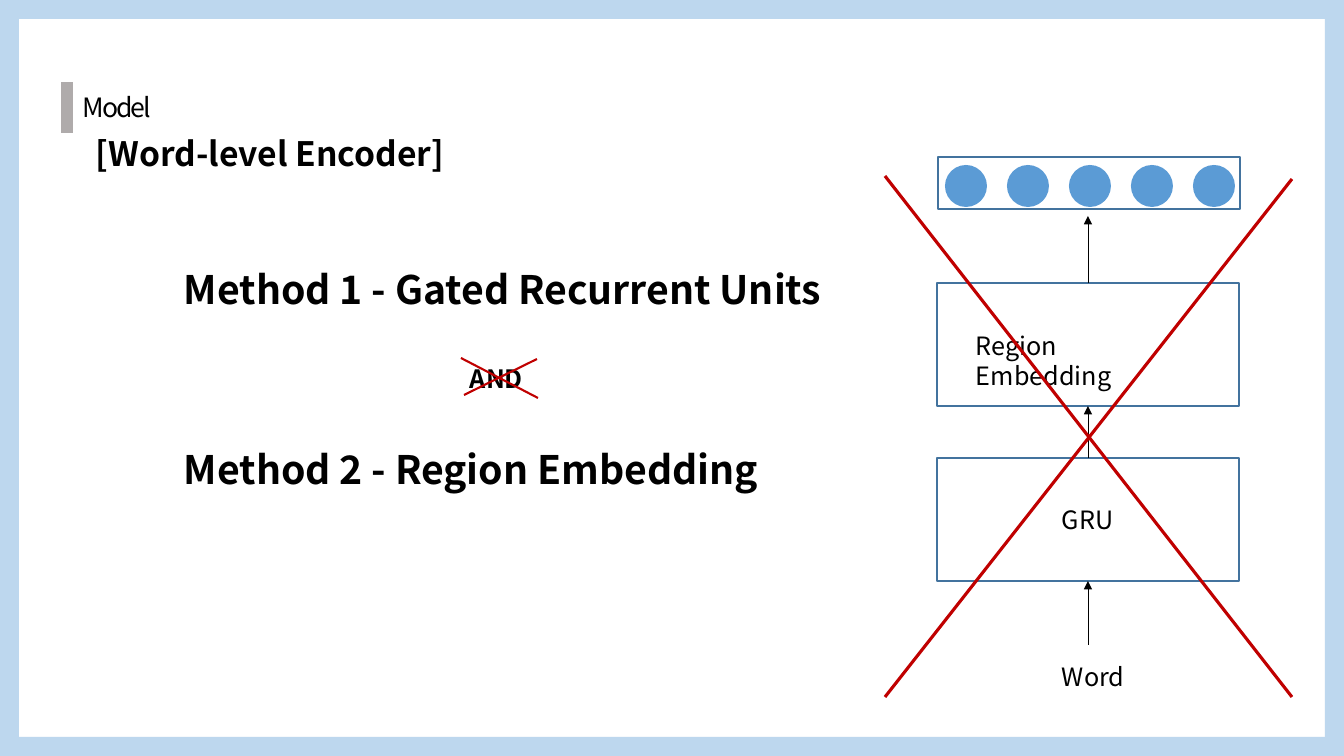
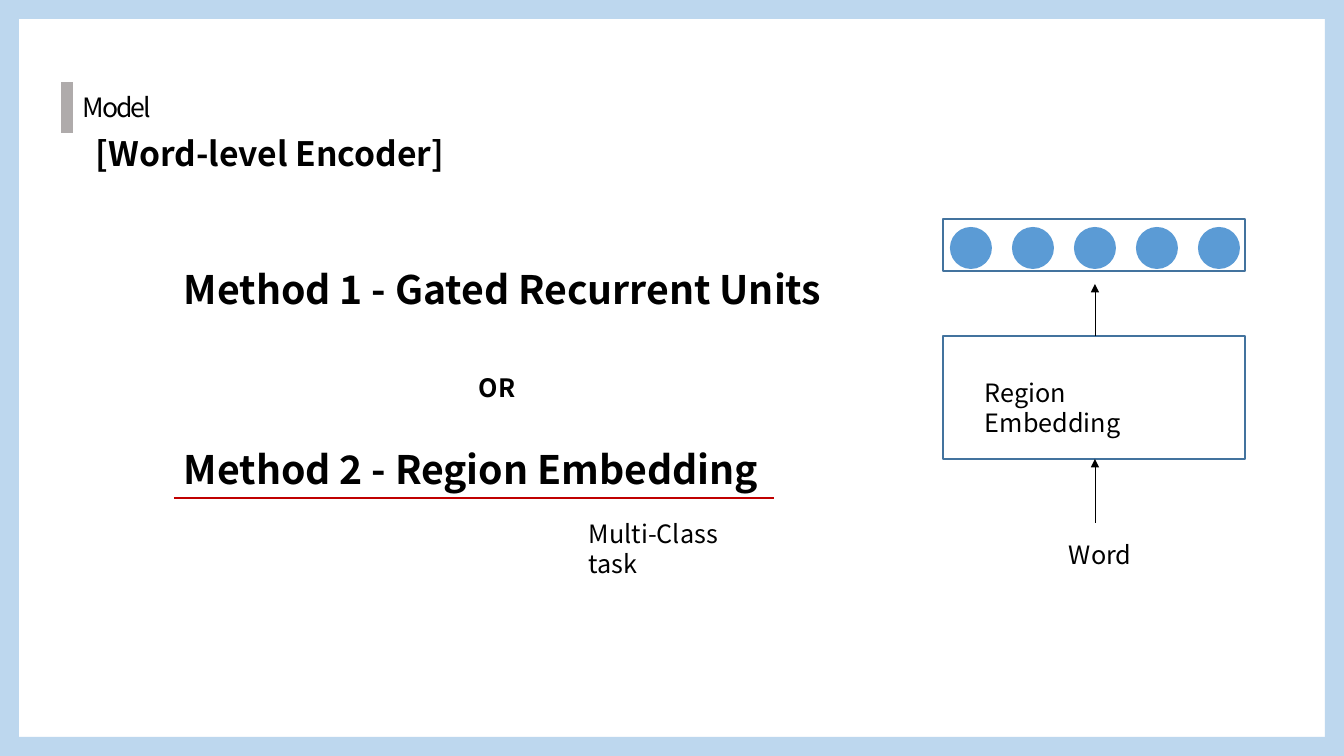
from pptx import Presentation
from pptx.dml.color import RGBColor
from pptx.enum.shapes import MSO_CONNECTOR, MSO_SHAPE
from pptx.oxml.ns import qn
from pptx.util import Emu, Pt
from lxml import etree

STRAIGHT = MSO_CONNECTOR.STRAIGHT
RECTANGLE, OVAL = MSO_SHAPE.RECTANGLE, MSO_SHAPE.OVAL

THEME = {
    "font": "Noto Sans CJK KR",
    "black": "000000", "frame": "BDD7EE", "marker": "AFABAB",
    "outline": "43739E", "unit": "5B9BD5", "red": "C00000",
    "method": 28, "heading": 24, "section": 19, "label": 18,
}
PIXEL = 914400 / 100.8
WIDTH, HEIGHT, BAND = 1344, 756, 19
BOX_WIDTH, BOX_HEIGHT = 302, 123
ROW_HEIGHT, UNIT, UNIT_STEP, UNIT_COUNT = 52, 42, 62, 5


def px(*lengths):
    return [Emu(round(length * PIXEL)) for length in lengths]


def add_text(slide, text, left, top, width, height, size, bold=False):
    box = slide.shapes.add_textbox(*px(left, top, width, height))
    box.text_frame.word_wrap = True
    run = box.text_frame.paragraphs[0].add_run()
    run.text = text
    run.font.name = THEME["font"]
    run.font.size = Pt(THEME[size])
    run.font.bold = bold
    run.font.color.rgb = RGBColor.from_string(THEME["black"])
    return run


presentation = Presentation()
presentation.slide_width, presentation.slide_height = px(WIDTH, HEIGHT)

# What differs between the slides
slides = [
    {
        "row": (938, 157),
        "boxes": [(937, 458), (937, 283)],
        "arrows": [(1088, 645, 581), (1088, 458, 406), (1088, 283, 216)],
        "labels": [("GRU", 1052, 499, 76, False), ("Region Embedding", 966, 325, 230, False),
                   ("Word", 1052, 656, 88, False), ("AND", 460, 358, 82, True)],
        "red_lines": [(885, 176, 1292, 697, 2.25), (885, 697, 1292, 179, 2.25),
                      (461, 358, 538, 398, 1.5), (464, 395, 537, 359, 1.5)],
    },
    {
        "row": (943, 219),
        "boxes": [(943, 336)],
        "arrows": [(1095, 523, 459), (1095, 336, 284)],
        "labels": [("Region Embedding", 975, 372, 230, False), ("Word", 1059, 534, 88, False),
                   ("Multi-Class task", 579, 513, 190, False), ("OR", 469, 367, 62, True)],
        "red_lines": [(174, 498, 774, 498, 1.5)],
    },
]

for content in slides:
    slide = presentation.slides.add_slide(presentation.slide_layouts[6])

    # Frame, encoder boxes and output row: position, shape, fill, outline
    shapes = [
        (0, HEIGHT - BAND, WIDTH, BAND, RECTANGLE, "frame", None),
        (0, 0, WIDTH, BAND, RECTANGLE, "frame", None),
        (0, 0, BAND, HEIGHT, RECTANGLE, "frame", None),
        (WIDTH - BAND, 0, BAND, HEIGHT, RECTANGLE, "frame", None),
    ]
    for left, top in content["boxes"]:
        shapes.append((left, top, BOX_WIDTH, BOX_HEIGHT, RECTANGLE, None, "outline"))
    row_left, row_top = content["row"]
    for index in range(UNIT_COUNT):
        shapes.append((row_left + 7 + index * UNIT_STEP, row_top + 8, UNIT, UNIT,
                       OVAL, "unit", None))
    shapes.append((row_left, row_top, BOX_WIDTH, ROW_HEIGHT, RECTANGLE, None, "outline"))

    for left, top, width, height, kind, fill, outline in shapes:
        shape = slide.shapes.add_shape(kind, *px(left, top, width, height))
        shape.shadow.inherit = False
        if fill:
            shape.fill.solid()
            shape.fill.fore_color.rgb = RGBColor.from_string(THEME[fill])
        else:
            shape.fill.background()
        if outline:
            shape.line.color.rgb = RGBColor.from_string(THEME[outline])
            shape.line.width = Pt(1)
        else:
            shape.line.fill.background()

    # Titles and methods
    section = add_text(slide, "Model", 73, 86, 100, 42, "section")
    section.font._element.set("spc", "-150")
    add_text(slide, "[Word-level Encoder]", 86, 128, 525, 50, "heading", True)
    add_text(slide, "Method 1 - Gated Recurrent Units", 174, 260, 742, 57, "method", True)
    add_text(slide, "Method 2 - Region Embedding", 174, 440, 726, 57, "method", True)

    # Diagram labels
    for text, left, top, width, bold in content["labels"]:
        add_text(slide, text, left, top, width, 40, "label", bold)

    # Section marker, arrows and red strokes
    lines = [(67, 133, 67, 82, 8.5, "marker", False)]
    for x, start, end in content["arrows"]:
        lines.append((x, start, x, end, 0.5, "black", True))
    for stroke in content["red_lines"]:
        lines.append((*stroke, "red", False))
    for x1, y1, x2, y2, weight, color, arrow in lines:
        line = slide.shapes.add_connector(STRAIGHT, *px(x1, y1, x2, y2))
        line.line.color.rgb = RGBColor.from_string(THEME[color])
        line.line.width = Pt(weight)
        properties = line._element.spPr
        if arrow:
            etree.SubElement(properties.find(qn("a:ln")), qn("a:tailEnd"), type="triangle")
        etree.SubElement(properties, qn("a:effectLst"))

presentation.save("out.pptx")
